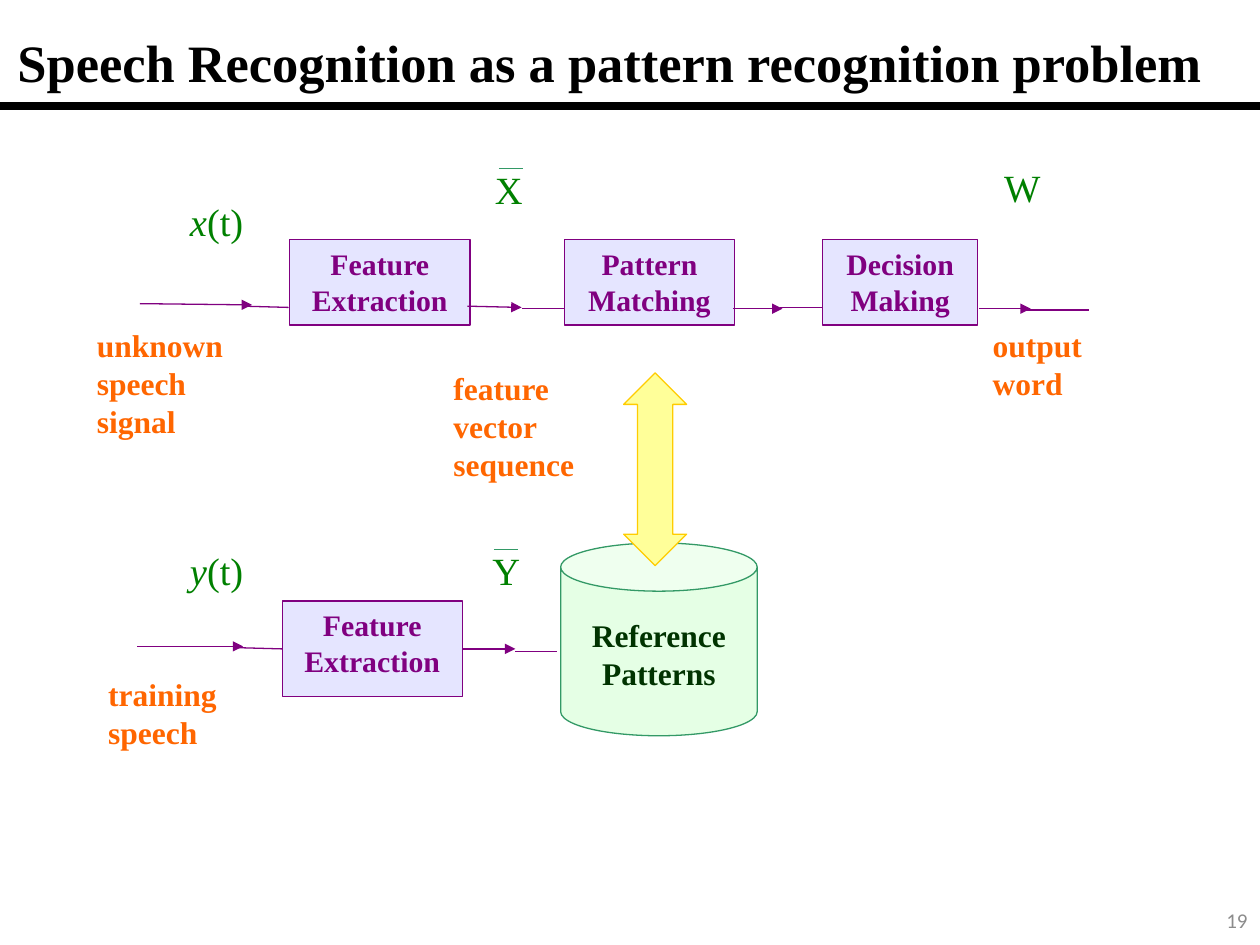
"""Build a slide with the speech recognition block diagram."""
from lxml.etree import SubElement
from pptx import Presentation
from pptx.dml.color import RGBColor
from pptx.enum.shapes import MSO_CONNECTOR as Link, MSO_SHAPE as Shape
from pptx.enum.text import MSO_ANCHOR as Anchor, PP_ALIGN as Align
from pptx.oxml.ns import qn
from pptx.util import Inches, Pt

hex_color = RGBColor.from_string
CELL = Inches(0.1)
PURPLE, ORANGE, GREEN, SEA, BLACK = "800080", "FF6600", "008000", "339966", "000000"

deck = Presentation()
deck.slide_width, deck.slide_height = 100 * CELL, 75 * CELL
page = deck.slides.add_slide(deck.slide_layouts[6])


def write(box, runs, size, color, bold=False, font="Times New Roman",
          align=Align.LEFT, anchor=Anchor.TOP):
    frame = box.text_frame
    frame.word_wrap = True
    frame.vertical_anchor = anchor
    para = frame.paragraphs[0]
    para.alignment = align
    for text, italic in runs:
        span = para.add_run()
        span.text = text
        span.font.name, span.font.size = font, Pt(size)
        span.font.bold, span.font.italic = bold, italic
        span.font.color.rgb = hex_color(color)


def draw_line(x1, y1, x2, y2, color=PURPLE, width=0.75, arrow=False):
    line = page.shapes.add_connector(
        Link.STRAIGHT, *(round(value * CELL) for value in (x1, y1, x2, y2)))
    line.line.color.rgb = hex_color(color)
    line.line.width = Pt(width)
    if arrow:
        SubElement(line.element.spPr.find(qn("a:ln")), qn("a:tailEnd"), type="triangle")
    SubElement(line.element.spPr, qn("a:effectLst"))
    return line


blocks = {}
for name, kind, area, fill, edge, text, size, color in (
    ("feature", Shape.RECTANGLE, (23, 19, 14.3, 6.8), "CCCCFF", PURPLE, "Feature Extraction", 17, PURPLE),
    ("matching", Shape.RECTANGLE, (44.8, 19, 13.5, 6.8), "CCCCFF", PURPLE, "Pattern Matching", 17, PURPLE),
    ("decision", Shape.RECTANGLE, (65.3, 19, 12.3, 6.8), "CCCCFF", PURPLE, "Decision Making", 17, PURPLE),
    ("training", Shape.RECTANGLE, (22.4, 47.7, 14.3, 7.6), "CCCCFF", PURPLE, "Feature Extraction", 17, PURPLE),
    ("reference", Shape.CAN, (44.5, 43.1, 15.6, 15.3), "CCFFCC", SEA, "Reference Patterns", 18, "003300"),
    ("exchange", Shape.UP_DOWN_ARROW, (49.5, 29.6, 5, 15.3), "FFFF99", "FFCC00", "", 18, BLACK),
):
    block = page.shapes.add_shape(kind, *(round(value * CELL) for value in area))
    block.shadow.inherit = False
    block.fill.solid()
    block.fill.fore_color.rgb = hex_color(fill)
    block.line.color.rgb = hex_color(edge)
    block.line.width = Pt(0.75)
    if text:
        tint = block.element.spPr.find(qn("a:solidFill")).find(qn("a:srgbClr"))
        SubElement(tint, qn("a:alpha"), val="50000")
        write(block, [(text, False)], size, color, bold=True, align=Align.CENTER)
    blocks[name] = block
blocks["reference"].text_frame.margin_top = 2 * CELL
blocks["exchange"].adjustments[1] = 0.56

for points in (
    (11.1, 24.1, 20, 24.2), (37.1, 24.3, 41.4, 24.4), (58.2, 24.5, 62.1, 24.5),
    (77.7, 24.5, 81.8, 24.5), (10.9, 51.3, 19.3, 51.3),
):
    draw_line(*points, arrow=True)
for points in (
    (19.3, 24.3, 22.9, 24.4), (41.4, 24.5, 44.8, 24.5), (61.9, 24.4, 65.3, 24.4),
    (81.4, 24.6, 86.4, 24.6), (40.9, 51.7, 44.2, 51.7),
):
    draw_line(*points)
draw_line(18.7, 51.4, 22.4, 51.5).end_connect(blocks["training"], 1)
draw_line(36.7, 51.5, 40.9, 51.5, arrow=True).begin_connect(blocks["training"], 3)
for left, top in ((39.6, 13.4), (39.2, 43.6)):
    draw_line(left, top, left + 1.9, top, SEA)
draw_line(0, 8.4, 100, 8.4, BLACK, 4.5)

signal = {"size": 22, "color": GREEN}
caption = {"size": 18, "color": ORANGE, "bold": True}
title = {"size": 30, "color": BLACK, "bold": True, "anchor": Anchor.MIDDLE}
number = {"size": 12, "color": "8C8C8C", "font": "Calibri",
          "align": Align.RIGHT, "anchor": Anchor.MIDDLE}
for area, runs, style in (
    ((14.1, 15.2, 8.3, 10.2), [("x", True), ("(t)", False)], signal),
    ((14.1, 42.9, 8.3, 10.2), [("y", True), ("(t)", False)], signal),
    ((38.3, 12.7, 5.5, 8.5), [("X", False)], signal),
    ((38.1, 42.9, 5.5, 8.5), [("Y", False)], signal),
    ((78.7, 12.5, 5.5, 8.5), [("W", False)], signal),
    ((6.7, 25.4, 13.8, 13.6), [("unknown speech signal", False)], caption),
    ((35, 28.8, 13.8, 13.6), [("feature vector sequence", False)], caption),
    ((77.8, 25.4, 10.2, 10.2), [("output word", False)], caption),
    ((7.6, 53.1, 13.9, 10.2), [("training speech", False)], caption),
    ((0.4, 1.4, 99.6, 6.9), [("Speech Recognition as a pattern recognition problem", False)], title),
    ((77.5, 71, 22.5, 4), [("19", False)], number),
):
    box = page.shapes.add_textbox(*(round(value * CELL) for value in area))
    write(box, runs, **style)

deck.save("out.pptx")
